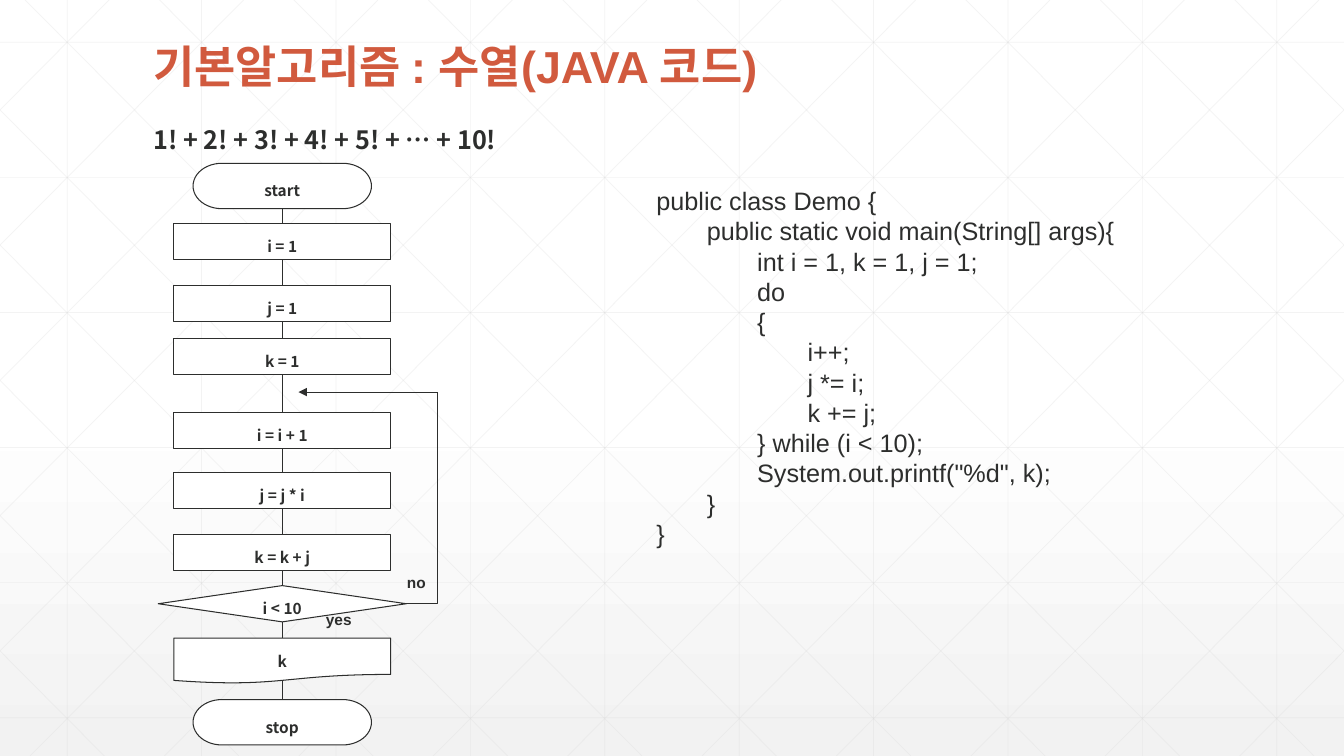
from lxml.etree import SubElement
from pptx import Presentation
from pptx.dml.color import RGBColor
from pptx.enum.shapes import MSO_CONNECTOR as LINK, MSO_SHAPE as SHAPE
from pptx.enum.text import MSO_ANCHOR as ANCHOR, MSO_AUTO_SIZE as FIT, PP_ALIGN as ALIGN
from pptx.oxml.ns import qn
from pptx.util import Inches, Pt

WIDTH, HEIGHT = 13.33, 7.5
INK, ACCENT, GRID, WHITE = "2D2E2D", "D15A3E", "D9D9D9", "FFFFFF"
LATIN, KOREAN = "Arial", "Noto Sans CJK KR"
AXIS = 2.8

NODES = [
    (SHAPE.FLOWCHART_TERMINATOR, "start", 1.62, 1.77, 0.45),
    (SHAPE.RECTANGLE, "i = 1", 2.22, 2.15, 0.36),
    (SHAPE.RECTANGLE, "j = 1", 2.83, 2.15, 0.36),
    (SHAPE.RECTANGLE, "k = 1", 3.36, 2.15, 0.36),
    (SHAPE.RECTANGLE, "i = i + 1", 4.09, 2.15, 0.36),
    (SHAPE.RECTANGLE, "j = j * i", 4.69, 2.15, 0.36),
    (SHAPE.RECTANGLE, "k = k + j", 5.3, 2.15, 0.36),
    (SHAPE.DIAMOND, "i < 10", 5.81, 2.46, 0.36),
    (SHAPE.FLOWCHART_DOCUMENT, "k", 6.33, 2.15, 0.45),
    (SHAPE.FLOWCHART_TERMINATOR, "stop", 6.94, 1.77, 0.45),
]

CODE = """public class Demo {
\tpublic static void main(String[] args){
\t\tint i = 1, k = 1, j = 1;
\t\tdo
\t\t{
\t\t\ti++;
\t\t\tj *= i;
\t\t\tk += j;
\t\t} while (i < 10);
\t\tSystem.out.printf("%d", k);
\t}
}"""


def color(hex_value):
    """Turn a hex string into a colour."""
    return RGBColor.from_string(hex_value)


def write(shape, text, size, font=LATIN, ink=INK, bold=True, align=ALIGN.LEFT,
          anchor=ANCHOR.TOP, spacing=1.0, before=0, wrap=True):
    """Fill a shape with formatted, unbulleted paragraphs."""
    frame = shape.text_frame
    frame.text = text
    frame.word_wrap, frame.auto_size = wrap, FIT.NONE
    frame.vertical_anchor = anchor
    for paragraph in frame.paragraphs:
        paragraph.alignment = align
        paragraph.line_spacing, paragraph.space_before = spacing, Pt(before)
        layout = paragraph._p.get_or_add_pPr()
        layout.set("marL", "0")
        layout.set("indent", "0")
        SubElement(layout, qn("a:buNone"))
        if "\t" in text:
            stops = SubElement(layout, qn("a:tabLst"))
            for inch in (1, 2, 3):
                SubElement(stops, qn("a:tab"), pos=str(Inches(inch)), algn="l")
        for run in paragraph.runs:
            run.font.name, run.font.size, run.font.bold = font, Pt(size), bold
            run.font.color.rgb = color(ink)
            SubElement(run.font._element, qn("a:ea"), typeface=KOREAN)


def place(shape, left, top, width, height):
    """Move and size a shape, in inches."""
    shape.left, shape.top = Inches(left), Inches(top)
    shape.width, shape.height = Inches(width), Inches(height)


def add_line(shapes, start, end, ink=INK, weight=0.75, alpha=None, arrow=False, bent=False):
    """Draw a line, an arrow or a single right-angle bend."""
    ends = [Inches(value) for value in (*start, *end)]
    line = shapes.add_connector(LINK.ELBOW if bent else LINK.STRAIGHT, *ends)
    line.line.color.rgb, line.line.width = color(ink), Pt(weight)
    properties = line.element.spPr
    SubElement(properties, qn("a:effectLst"))
    if bent:
        properties.find(qn("a:prstGeom")).set("prst", "bentConnector2")
    if alpha:
        tint = next(properties.iter(qn("a:srgbClr")))
        SubElement(tint, qn("a:alpha"), val=str(alpha * 1000))
    if arrow:
        SubElement(line.line._get_or_add_ln(), qn("a:tailEnd"), type="triangle")


def add_node(shapes, kind, label, top, width, height):
    """Add a flowchart step centred on the axis."""
    node = shapes.add_shape(kind, Inches(AXIS - width / 2), Inches(top),
                            Inches(width), Inches(height))
    node.shadow.inherit = False
    node.fill.solid()
    node.fill.fore_color.rgb = color(WHITE)
    node.line.color.rgb, node.line.width = color(INK), Pt(0.75)
    frame = node.text_frame
    frame.margin_left = frame.margin_right = frame.margin_top = frame.margin_bottom = 0
    write(node, label, 11, font=KOREAN, align=ALIGN.CENTER, anchor=ANCHOR.MIDDLE,
          spacing=1.5, before=2.2)


def add_branch_label(shapes, label, left, top, width):
    """Name a branch of the decision."""
    box = shapes.add_textbox(Inches(left), Inches(top), Inches(width), Inches(0.32))
    write(box, label, 11, align=ALIGN.CENTER, wrap=False)


def add_backdrop(slide):
    """Shade the background and lay the faint grid behind everything."""
    fill = slide.background.fill
    fill.gradient()
    fill.gradient_angle = 270
    for stop, position, shade in zip(fill.gradient_stops, (0.53, 1), (WHITE, "F2F2F2")):
        stop.position, stop.color.rgb = position, color(shade)

    group = slide.shapes.add_group_shape()
    step, run = WIDTH / 10, 7.45
    slope = HEIGHT / run
    spans = [((step * (i + 0.5), 0), (step * (i + 0.5), HEIGHT)) for i in range(10)]
    spans += [((0, 0.42 + 1.34 * i), (WIDTH, 0.42 + 1.34 * i)) for i in range(6)]
    for i in range(-5, 10):
        origin = 0.25 + step * i
        left, right = max(origin, 0), min(origin + run, WIDTH)
        top, bottom = (left - origin) * slope, (right - origin) * slope
        spans += [((left, top), (right, bottom)),
                  ((WIDTH - left, top), (WIDTH - right, bottom))]
    for start, end in spans:
        add_line(group.shapes, start, end, GRID, 0.5, alpha=30)
    slide.shapes.element.insert(2, group.element)


def add_flowchart(shapes):
    """Draw the steps, their spine and the loop back."""
    add_line(shapes, (AXIS, 2.07), (AXIS, 6.94))
    for node in NODES:
        add_node(shapes, *node)
    add_line(shapes, (4.03, 5.99), (4.34, 3.89), bent=True)
    add_line(shapes, (4.34, 3.89), (2.96, 3.89), arrow=True)
    add_branch_label(shapes, "yes", 3.09, 6, 0.54)
    add_branch_label(shapes, "no", 3.89, 5.64, 0.48)


def main():
    """Build and save the slide."""
    deck = Presentation()
    deck.slide_width, deck.slide_height = Inches(WIDTH), Inches(HEIGHT)
    slide = deck.slides.add_slide(deck.slide_layouts[3])
    add_backdrop(slide)

    title, formula, code = slide.placeholders
    place(title, 1.42, 0.39, 10.5, 0.61)
    write(title, "기본알고리즘 : 수열(JAVA 코드)", 32, ink=ACCENT, spacing=0.9)
    place(formula, 1.42, 1.03, 10.5, 0.56)
    write(formula, "1! + 2! + 3! + 4! + 5! + … + 10!", 18, font=KOREAN,
          spacing=1.5, before=3.6)
    place(code, 6.41, 1.79, 6.67, 3.74)
    write(code, CODE, 18, bold=False)

    add_flowchart(slide.shapes)
    deck.save("out.pptx")


if __name__ == "__main__":
    main()
